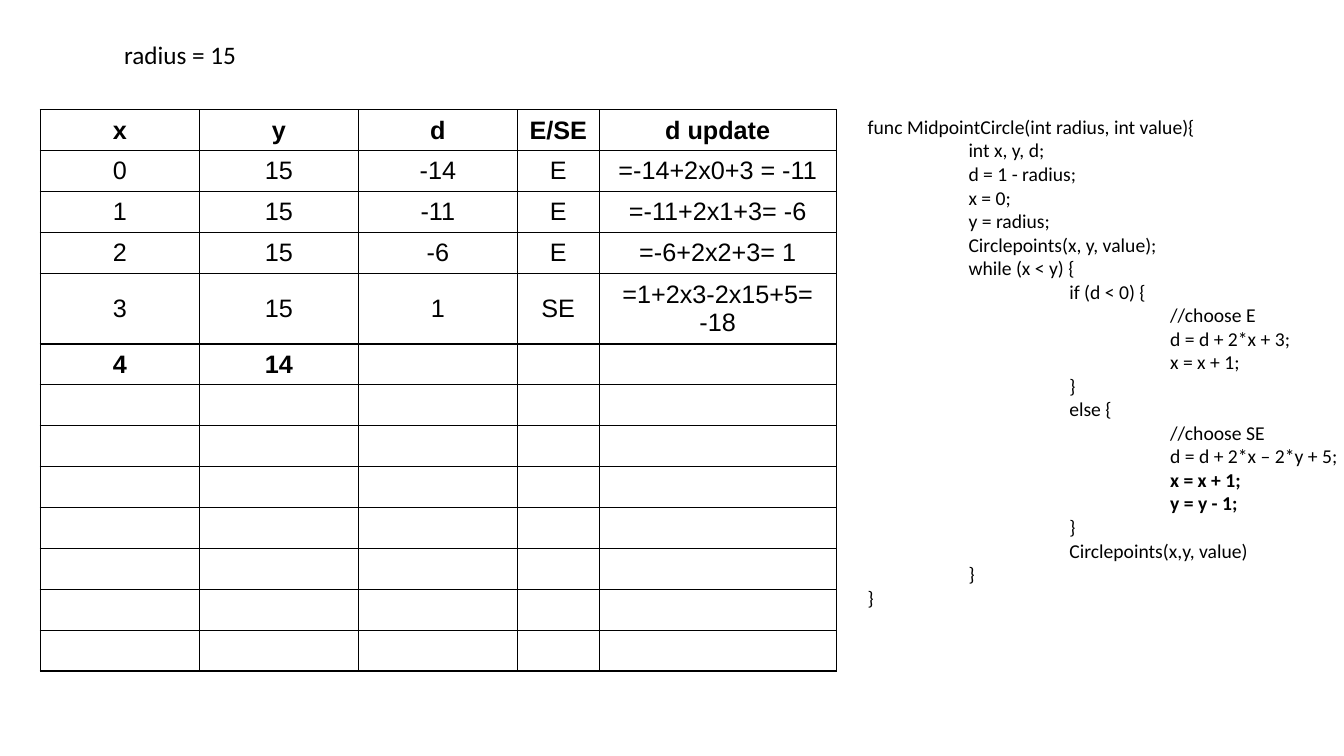
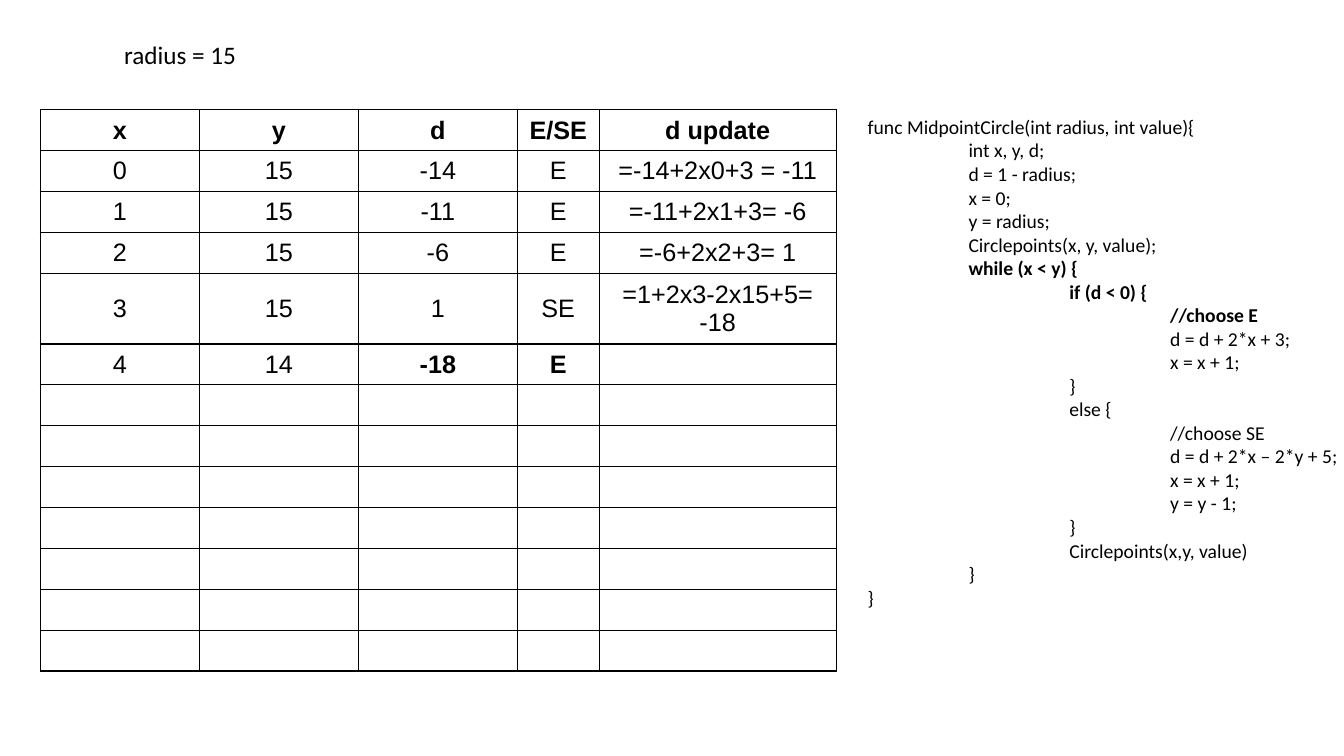
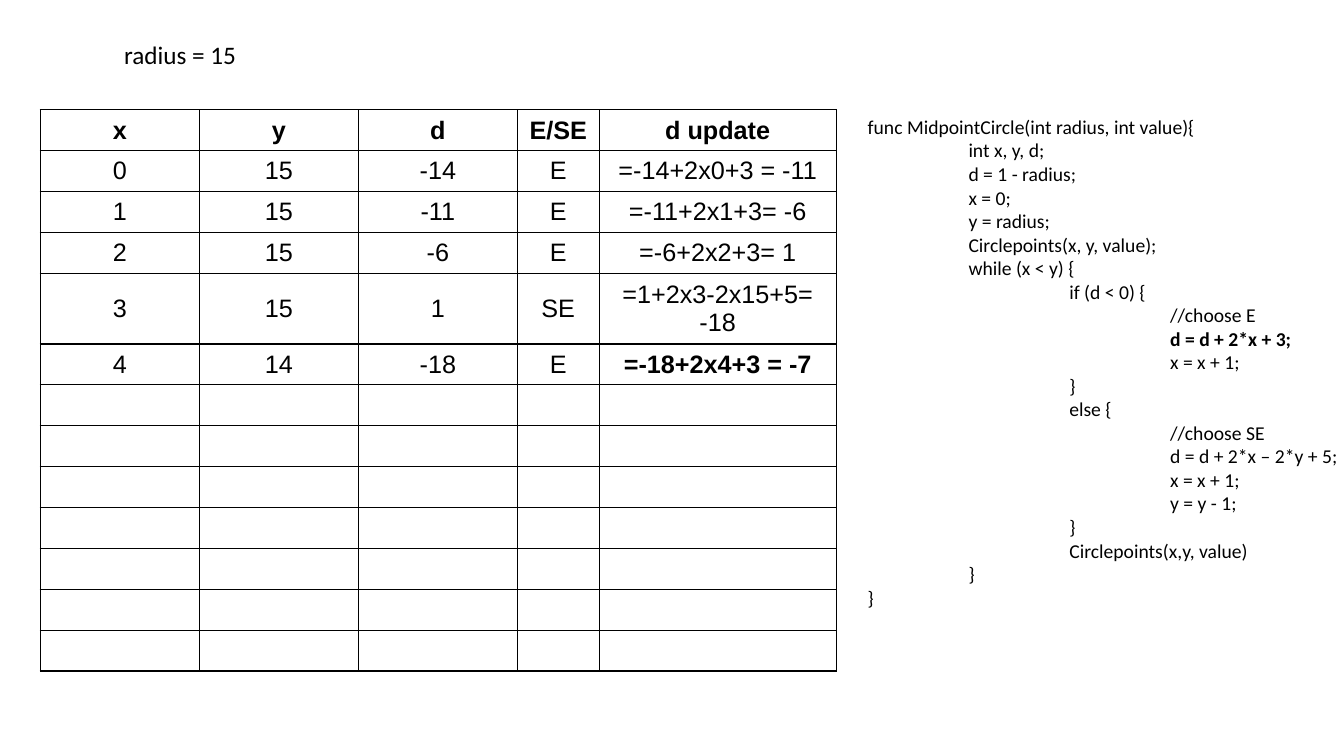
from dataclasses import dataclass

import pptx
import pptx.dml.color
import pptx.enum.text
import pptx.oxml
import pptx.oxml.ns
import pptx.util

Pt = pptx.util.Pt
COLORS = {"ink": "000000"}
FORMATS = {
    "title": {"name": "Calibri", "size": Pt(18), "bold": False},
    "code": {"name": "Calibri", "size": Pt(14), "bold": False},
    "cell": {"name": "Arial", "size": Pt(18), "bold": False},
    "strong cell": {"name": "Arial", "size": Pt(18), "bold": True},
    "strong code": {"name": "Calibri", "size": Pt(14), "bold": True},
}
INSETS = {
    "margin_left": Pt(7.2),
    "margin_right": Pt(7.2),
    "margin_top": Pt(3.6),
    "margin_bottom": Pt(3.6),
}

TAB = 72
ROW_HEIGHT = 29.2
ROW_COUNT = 13
COLUMN_WIDTHS = (113.6, 113.6, 113.6, 58.4, 169.4)
HEADER = ("x", "y", "d", "E/SE", "d update")
FINISHED_ROWS = (
    ("0", "15", "-14", "E", "=-14+2x0+3 = -11"),
    ("1", "15", "-11", "E", "=-11+2x1+3= -6"),
    ("2", "15", "-6", "E", "=-6+2x2+3= 1"),
    ("3", "15", "1", "SE", "=1+2x3-2x15+5= -18"),
)


@dataclass(frozen=True)
class CodeLine:
    depth: int
    text: str


@dataclass(frozen=True)
class TraceStep:
    """The row being worked out, with its new columns and the code lines that ran."""
    values: tuple[str, ...]
    new_columns: tuple[int, ...]
    active_lines: tuple[int, ...]


ALGORITHM = (
    CodeLine(0, "func MidpointCircle(int radius, int value){"),
    CodeLine(1, "int x, y, d;"),
    CodeLine(1, "d = 1 - radius;"),
    CodeLine(1, "x = 0;"),
    CodeLine(1, "y = radius;"),
    CodeLine(1, "Circlepoints(x, y, value);"),
    CodeLine(1, "while (x < y) {"),
    CodeLine(2, "if (d < 0) {"),
    CodeLine(3, "//choose E"),
    CodeLine(3, "d = d + 2*x + 3;"),
    CodeLine(3, "x = x + 1;"),
    CodeLine(2, "}"),
    CodeLine(2, "else {"),
    CodeLine(3, "//choose SE"),
    CodeLine(3, "d = d + 2*x – 2*y + 5;"),
    CodeLine(3, "x = x + 1;"),
    CodeLine(3, "y = y - 1;"),
    CodeLine(2, "}"),
    CodeLine(2, "Circlepoints(x,y, value)"),
    CodeLine(1, "}"),
    CodeLine(0, "}"),
)

STEPS = (
    TraceStep(("4", "14"), (0, 1), (15, 16)),
    TraceStep(("4", "14", "-18", "E"), (2, 3), (6, 7, 8)),
    TraceStep(("4", "14", "-18", "E", "=-18+2x4+3 = -7"), (4,), (9,)),
)


def set_all(target, values: dict) -> None:
    for attribute, value in values.items():
        setattr(target, attribute, value)


def write(paragraph, text: str, style: str) -> None:
    run = paragraph.add_run()
    run.text = text
    set_all(run.font, FORMATS[style])
    run.font.color.rgb = pptx.dml.color.RGBColor.from_string(COLORS["ink"])


def add_title(slide) -> None:
    title = slide.shapes.title
    set_all(title, {"left": Pt(81.4), "top": Pt(24.5),
                    "width": Pt(96), "height": Pt(29)})
    set_all(title.text_frame, INSETS | {
        "word_wrap": False,
        "auto_size": pptx.enum.text.MSO_AUTO_SIZE.SHAPE_TO_FIT_TEXT,
        "vertical_anchor": pptx.enum.text.MSO_ANCHOR.TOP,
    })
    heading = title.text_frame.paragraphs[0]
    heading.alignment = pptx.enum.text.PP_ALIGN.LEFT
    write(heading, "radius = 15", "title")


def add_code(slide, active_lines: tuple[int, ...]) -> None:
    listing = slide.shapes.add_textbox(Pt(612.7), Pt(78.5), Pt(368.6), Pt(380.2)).text_frame
    set_all(listing, INSETS | {
        "word_wrap": True,
        "auto_size": pptx.enum.text.MSO_AUTO_SIZE.SHAPE_TO_FIT_TEXT,
    })
    for number, line in enumerate(ALGORITHM):
        paragraph = listing.add_paragraph() if number else listing.paragraphs[0]
        paragraph._p.get_or_add_pPr().set("marL", str(Pt(TAB * line.depth)))
        write(paragraph, line.text, "strong code" if number in active_lines else "code")


def add_borders(cell) -> None:
    properties = cell._tc.get_or_add_tcPr()
    for side in ("lnL", "lnR", "lnT", "lnB"):
        properties.append(pptx.oxml.parse_xml(
            f'<a:{side} {pptx.oxml.ns.nsdecls("a")} w="{Pt(1)}"><a:solidFill>'
            f'<a:srgbClr val="{COLORS["ink"]}"/></a:solidFill></a:{side}>'))


def add_trace(slide, step: TraceStep) -> None:
    """Draw the table of x, y and d; rows not reached yet stay empty."""
    trace = slide.shapes.add_table(
        ROW_COUNT, len(HEADER), Pt(28.8), Pt(78.5),
        Pt(sum(COLUMN_WIDTHS)), Pt(ROW_HEIGHT * ROW_COUNT)).table
    trace.horz_banding = False
    for column, width in zip(trace.columns, COLUMN_WIDTHS):
        column.width = Pt(width)
    filled = (HEADER, *FINISHED_ROWS, step.values)
    current = len(filled) - 1
    for r, row in enumerate(trace.rows):
        row.height = Pt(ROW_HEIGHT)
        values = filled[r] if r < len(filled) else ()
        for c, cell in enumerate(row.cells):
            add_borders(cell)
            cell.fill.background()
            set_all(cell, INSETS)
            cell.vertical_anchor = pptx.enum.text.MSO_ANCHOR.MIDDLE
            if c < len(values):
                strong = r == 0 or (r == current and c in step.new_columns)
                paragraph = cell.text_frame.paragraphs[0]
                paragraph.alignment = pptx.enum.text.PP_ALIGN.CENTER
                write(paragraph, values[c], "strong cell" if strong else "cell")


def main() -> None:
    deck = pptx.Presentation()
    set_all(deck, {"slide_width": Pt(960), "slide_height": Pt(540)})
    title_only = deck.slide_layouts.get_by_name("Title Only")
    for step in STEPS:
        slide = deck.slides.add_slide(title_only)
        add_title(slide)
        add_code(slide, step.active_lines)
        add_trace(slide, step)
    deck.save("out.pptx")


if __name__ == "__main__":
    main()
